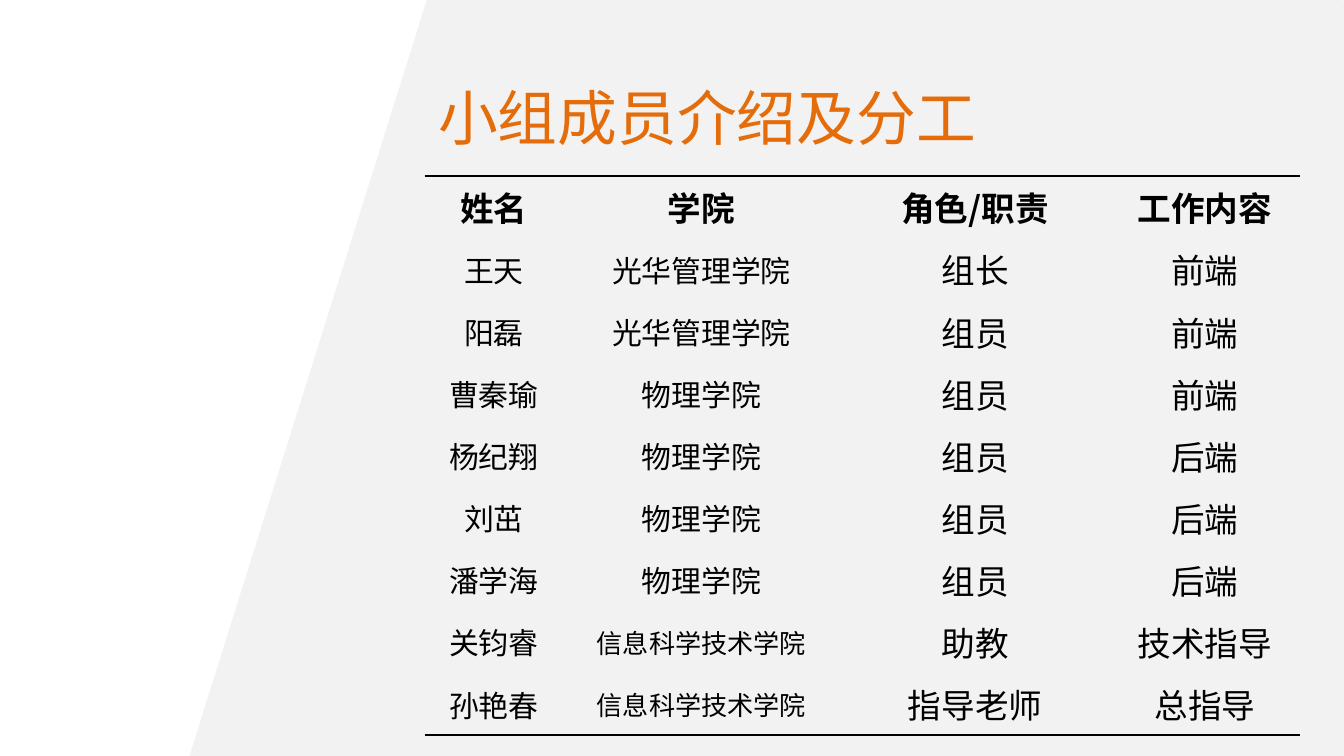
from lxml import etree
from pptx import Presentation
from pptx.dml.color import RGBColor
from pptx.enum.shapes import MSO_SHAPE
from pptx.enum.text import MSO_ANCHOR, PP_ALIGN
from pptx.oxml.ns import qn
from pptx.util import Inches, Pt

TRAPEZOID = MSO_SHAPE.TRAPEZOID
MIDDLE = MSO_ANCHOR.MIDDLE
LEFT, CENTER = PP_ALIGN.LEFT, PP_ALIGN.CENTER
FONT = "Noto Sans CJK SC"
PLAIN = "{2D5ABB26-0587-4C30-8999-92F81FD0307C}"
WIDE = Inches(10)
HIGH = WIDE * 9 // 16
WIDTHS = [1.03, 2.06, 2.01, 1.41]
HEADS = ["姓名", "学院", "角色/职责", "工作内容"]
MEMBERS = [
    ["王天", "光华管理学院", "组长", "前端"],
    ["阳磊", "光华管理学院", "组员", "前端"],
    ["曹秦瑜", "物理学院", "组员", "前端"],
    ["杨纪翔", "物理学院", "组员", "后端"],
    ["刘茁", "物理学院", "组员", "后端"],
    ["潘学海", "物理学院", "组员", "后端"],
    ["关钧睿", "信息科学技术学院", "助教", "技术指导"],
    ["孙艳春", "信息科学技术学院", "指导老师", "总指导"],
]


def paint(target, color):
    """Give a fill or font colour from a hex string."""
    target.rgb = RGBColor.from_string(color)


def write(frame, text, size=18, color="000000", bold=False, align=CENTER):
    """Put one formatted line of text in a frame."""
    line = frame.paragraphs[0]
    line.alignment = align
    run = line.add_run()
    run.text = text
    font = run.font
    font.size, font.bold, font.name = Pt(size), bold, FONT
    paint(font.color, color)
    east = etree.Element(qn("a:ea"), typeface=FONT)
    run._r.get_or_add_rPr().find(qn("a:latin")).addnext(east)


def rule(cell, side):
    """Draw a thin black border on one side of a cell."""
    line = etree.Element(qn("a:" + side), w=str(Pt(1)))
    fill = etree.SubElement(line, qn("a:solidFill"))
    etree.SubElement(fill, qn("a:srgbClr"), val="000000")
    cell._tc.get_or_add_tcPr().insert(0, line)


def add_panel(slide):
    """Add the slanted grey panel behind the title."""
    panel = slide.shapes.add_shape(
        TRAPEZOID, Inches(1.41), 0, Inches(10.35), HIGH)
    panel.adjustments[0] = 0.314
    panel.shadow.inherit = False
    panel.fill.solid()
    paint(panel.fill.fore_color, "F2F2F2")
    panel.line.fill.background()
    slide.shapes.title.element.addprevious(panel.element)


def add_title(slide, text):
    """Place and fill the title."""
    title = slide.shapes.title
    title.left, title.top = Inches(3.16), Inches(0.47)
    title.width, title.height = Inches(6.35), Inches(0.79)
    title.text_frame.vertical_anchor = MIDDLE
    write(title.text_frame, text, size=32, color="E46C0A", align=LEFT)


def text_size(row, col, text):
    """Choose the text size of a table cell."""
    if row == 0 or col > 1:
        return 18
    return 14 if len(text) > 6 else 16


def add_members(slide):
    """Add the member table with rules above and below."""
    rows = [HEADS] + MEMBERS
    last = len(rows) - 1
    table = slide.shapes.add_table(
        len(rows), len(HEADS), Inches(3.16), Inches(1.31),
        Inches(sum(WIDTHS)), Inches(3.49)).table
    table.first_row = table.horz_banding = False
    table._tbl.tblPr.find(qn("a:tableStyleId")).text = PLAIN
    for col, width in enumerate(WIDTHS):
        table.columns[col].width = Inches(width)
    for row, texts in enumerate(rows):
        table.rows[row].height = Inches(0.38 if row else 0.45)
        for col, text in enumerate(texts):
            cell = table.cell(row, col)
            cell.vertical_anchor = MIDDLE
            cell.fill.background()
            write(cell.text_frame, text, size=text_size(row, col, text),
                  bold=row == 0)
            if row in (0, last):
                rule(cell, "lnB" if row else "lnT")


def main():
    """Build and save the slide."""
    deck = Presentation()
    deck.slide_width, deck.slide_height = WIDE, HIGH
    slide = deck.slides.add_slide(deck.slide_layouts[5])
    add_panel(slide)
    add_title(slide, "小组成员介绍及分工")
    add_members(slide)
    deck.save("out.pptx")


main()
